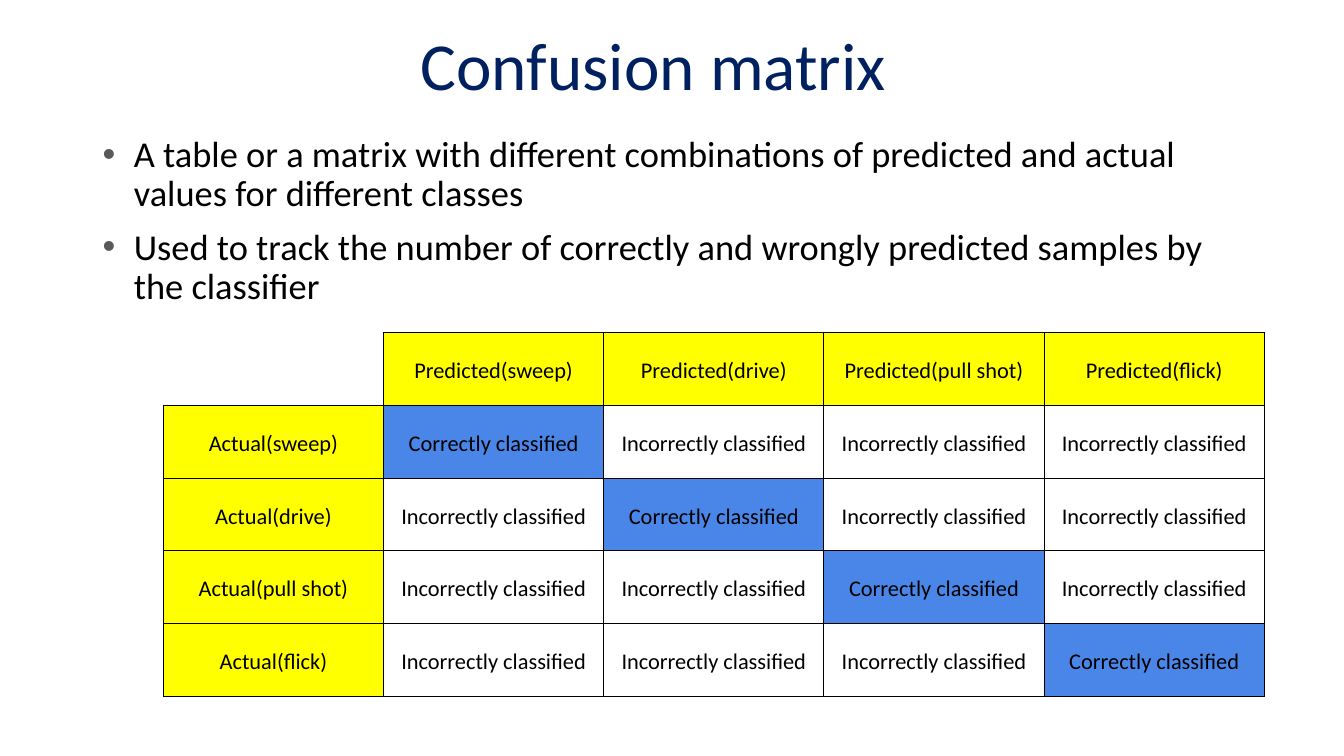
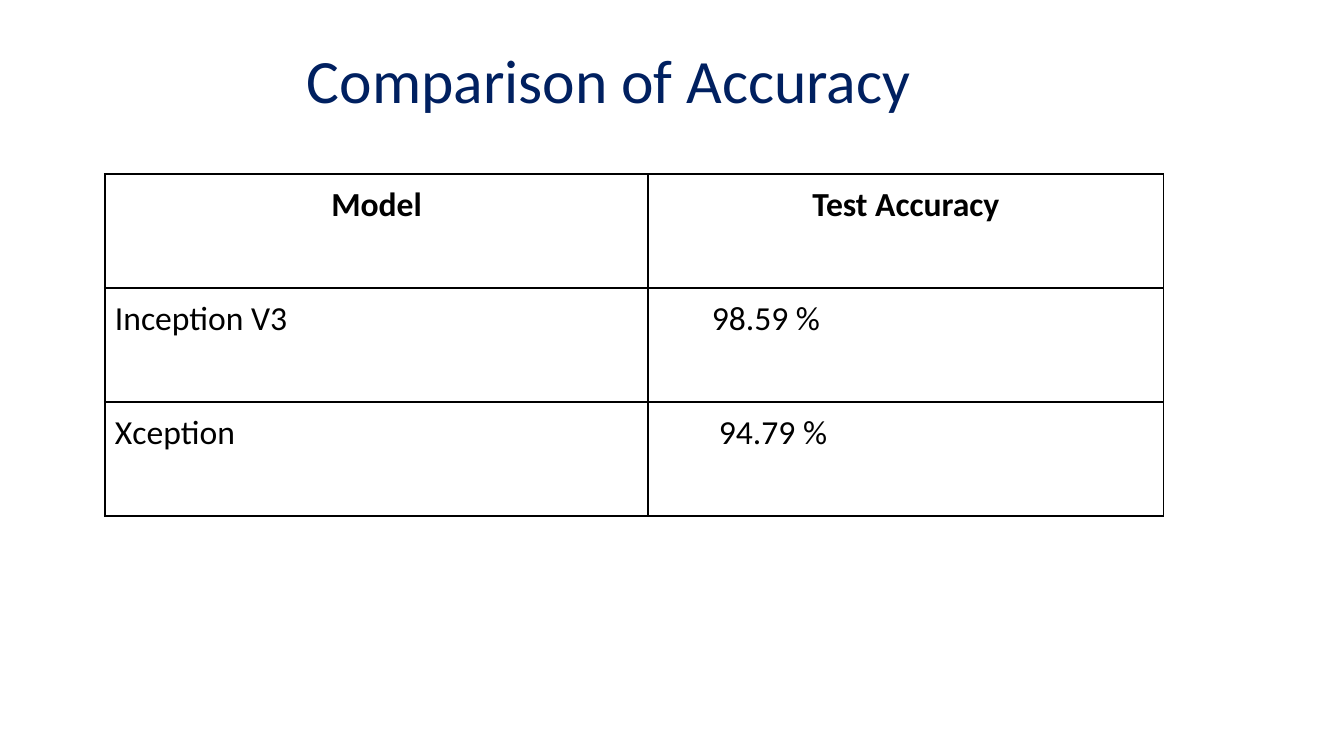
from dataclasses import dataclass
from typing import Optional

from lxml.etree import SubElement
from pptx import Presentation
from pptx.dml.color import RGBColor
from pptx.enum.text import MSO_ANCHOR as Anchor, MSO_AUTO_SIZE as AutoSize, PP_ALIGN as Align
from pptx.oxml import parse_xml
from pptx.oxml.ns import nsdecls, qn
from pptx.util import Inches, Pt

FONT = "Calibri"
COLORS = {
    "title": "002060",
    "text": "000000",
    "bullet": "595959",
    "header": "FFFF00",
    "correct": "4A86E8",
    "plain": "FFFFFF",
    "border": "000000",
}
SHOTS = ["sweep", "drive", "pull shot", "flick"]
DEFINITIONS = [
    "A table or a matrix with different combinations of predicted and actual values for different classes",
    "Used to track the number of correctly and wrongly predicted samples by the classifier",
]


@dataclass
class Box:
    left: float
    top: float
    width: float
    height: float

    def lengths(self) -> list:
        return [Inches(value) for value in (self.left, self.top, self.width, self.height)]


@dataclass
class CellContent:
    text: str = ""
    fill: str = "plain"
    bold: bool = False
    align: Align = Align.CENTER
    indent: float = 0
    open_corner: bool = False


@dataclass
class TableStyle:
    size: float
    border: float
    margin_x: float
    margin_y: float
    anchor: Anchor
    line_spacing: float = 1.0


def add_text(frame, text: str, *, size: float, color: str = "text", bold: bool = False,
             align: Align = Align.LEFT, line_spacing: float = 1.0, space_before: float = 0,
             indent: float = 0, bullet: Optional[str] = None, first: bool = True) -> None:
    paragraph = frame.paragraphs[0] if first else frame.add_paragraph()
    paragraph.alignment = align
    paragraph.line_spacing = line_spacing
    paragraph.space_before = Pt(0 if first else space_before)
    properties = paragraph._p.get_or_add_pPr()
    properties.set("marL", str(Inches(indent)))
    properties.set("indent", str(-Inches(indent) if bullet else 0))
    if bullet:
        bullet_color = SubElement(properties, qn("a:buClr"))
        SubElement(bullet_color, qn("a:srgbClr"), val=COLORS["bullet"])
        SubElement(properties, qn("a:buFont"), typeface="Arial")
        SubElement(properties, qn("a:buChar"), char=bullet)
    run = paragraph.add_run()
    run.text = text
    run.font.name = FONT
    run.font.size = Pt(size)
    run.font.bold = bold
    run.font.color.rgb = RGBColor.from_string(COLORS[color])


def add_titled_slide(presentation, text: str, box: Box, size: float, line_spacing: float):
    slide = presentation.slides.add_slide(presentation.slide_layouts[5])
    title = slide.shapes.title
    title.left, title.top, title.width, title.height = box.lengths()
    frame = title.text_frame
    frame.auto_size = AutoSize.NONE
    frame.vertical_anchor = Anchor.MIDDLE
    add_text(frame, text, size=size, color="title", align=Align.CENTER, line_spacing=line_spacing)
    return slide


def add_bullets(slide, items: list[str], box: Box) -> None:
    frame = slide.shapes.add_textbox(*box.lengths()).text_frame
    frame.word_wrap = True
    for index, item in enumerate(items):
        add_text(frame, item, size=26, line_spacing=0.9, space_before=10,
                 indent=0.31, bullet="•", first=index == 0)


def set_borders(cell, width: float, open_corner: bool) -> None:
    properties = cell._tc.get_or_add_tcPr()
    for index, side in enumerate("LRTB"):
        color = COLORS["plain" if open_corner and side in "LT" else "border"]
        properties.insert(index, parse_xml(
            f'<a:ln{side} {nsdecls("a")} w="{Pt(width)}"><a:solidFill>'
            f'<a:srgbClr val="{color}"/></a:solidFill></a:ln{side}>'))


def fill_cell(cell, content: CellContent, style: TableStyle) -> None:
    cell.margin_left = cell.margin_right = Inches(style.margin_x)
    cell.margin_top = cell.margin_bottom = Inches(style.margin_y)
    cell.vertical_anchor = style.anchor
    cell.fill.solid()
    cell.fill.fore_color.rgb = RGBColor.from_string(COLORS[content.fill])
    set_borders(cell, style.border, content.open_corner)
    if content.text:
        add_text(cell.text_frame, content.text, size=style.size, bold=content.bold,
                 align=content.align, line_spacing=style.line_spacing, indent=content.indent)


def add_grid(slide, rows: list[list[CellContent]], box: Box, widths: list[float],
             style: TableStyle) -> None:
    table = slide.shapes.add_table(len(rows), len(widths), *box.lengths()).table
    table.first_row = table.horz_banding = False
    for column, width in zip(table.columns, widths):
        column.width = Inches(width)
    for row_index, row in enumerate(rows):
        table.rows[row_index].height = Inches(box.height / len(rows))
        for column_index, content in enumerate(row):
            fill_cell(table.cell(row_index, column_index), content, style)


def confusion_rows() -> list[list[CellContent]]:
    header = [CellContent(open_corner=True)]
    header += [CellContent(f"Predicted({shot})", "header") for shot in SHOTS]
    rows = [header]
    for actual in SHOTS:
        row = [CellContent(f"Actual({actual})", "header")]
        for predicted in SHOTS:
            if actual == predicted:
                row.append(CellContent("Correctly classified", "correct"))
            else:
                row.append(CellContent("Incorrectly classified"))
        rows.append(row)
    return rows


def build_confusion_slide(presentation) -> None:
    slide = add_titled_slide(presentation, "Confusion matrix", Box(0.73, 0.1, 11.5, 1.07), 48, 1.0)
    add_bullets(slide, DEFINITIONS, Box(0.92, 1.3, 11.5, 1.42))
    box = Box(1.62, 3.3, 10.92, 3.61)
    columns = len(SHOTS) + 1
    style = TableStyle(16, 0.68, 0.03, 0.02, Anchor.MIDDLE, 1.15)
    add_grid(slide, confusion_rows(), box, [box.width / columns] * columns, style)


def build_accuracy_slide(presentation) -> None:
    slide = add_titled_slide(presentation, "Comparison of Accuracy", Box(0.29, 0.1, 11.5, 1.45), 44, 0.9)
    rows = [[CellContent(text, bold=True) for text in ("Model", "Test Accuracy")]]
    for model, accuracy, indent in [("Inception V3", "98.59 %", 0.53), ("Xception", "94.79 %", 0.6)]:
        rows.append([CellContent(model, align=Align.LEFT),
                     CellContent(accuracy, align=Align.LEFT, indent=indent)])
    style = TableStyle(24, 1.5, 0.1, 0.1, Anchor.TOP)
    add_grid(slide, rows, Box(1.04, 1.73, 10.5, 3.39), [5.39, 5.11], style)


def main() -> None:
    presentation = Presentation()
    presentation.slide_width = Inches(13.33)
    presentation.slide_height = Inches(7.5)
    build_confusion_slide(presentation)
    build_accuracy_slide(presentation)
    presentation.save("out.pptx")


if __name__ == "__main__":
    main()
